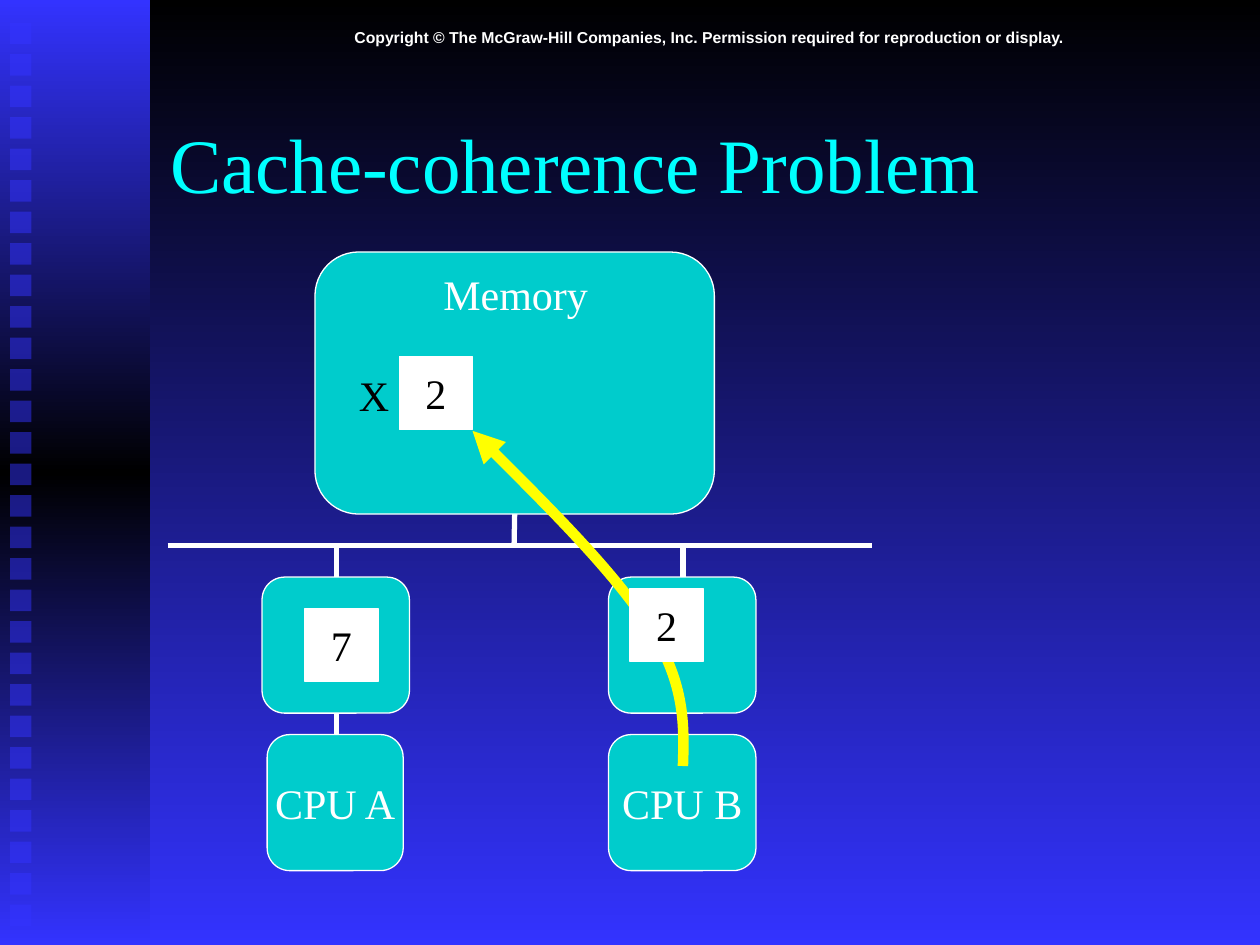
from copy import deepcopy

from lxml import etree
from pptx import Presentation
from pptx import util as u
from pptx.dml.color import RGBColor
from pptx.enum import shapes, text
from pptx.oxml.ns import qn

colour = RGBColor.from_string
CENTER, LEFT = text.PP_ALIGN.CENTER, text.PP_ALIGN.LEFT
RECT, ROUND = shapes.MSO_SHAPE.RECTANGLE, shapes.MSO_SHAPE.ROUNDED_RECTANGLE
SERIF = "Times New Roman"


def write(box, words, ink="FFFFFF", size=24, name=SERIF, bold=False,
          align=CENTER, anchor=text.MSO_ANCHOR.MIDDLE, wrap=False):
    frame = box.text_frame
    frame_format = {
        "word_wrap": wrap, "vertical_anchor": anchor, "auto_size": text.MSO_AUTO_SIZE.NONE,
        "margin_left": u.Inches(0.1), "margin_right": u.Inches(0.1),
        "margin_top": u.Inches(0.05), "margin_bottom": u.Inches(0.05),
    }
    for key, value in frame_format.items():
        setattr(frame, key, value)
    para = frame.paragraphs[0]
    para.alignment = align
    span = para.add_run()
    span.text = words
    for key, value in {"size": u.Pt(size), "name": name, "bold": bold}.items():
        setattr(span.font, key, value)
    span.font.color.rgb = colour(ink)


def add_block(kind, place, fill, line=None):
    block = page.shapes.add_shape(kind, *map(u.Inches, place))
    block.shadow.inherit = False
    block.fill.solid()
    block.fill.fore_color.rgb = colour(fill)
    if line:
        block.line.color.rgb = colour(line)
        block.line.width = u.Pt(0.75)
    else:
        block.line.fill.background()
    return block


deck = Presentation()
deck.slide_width, deck.slide_height = u.Inches(10), u.Inches(7.5)
page = deck.slides.add_slide(deck.slide_layouts[5])

backdrop = page.background.fill
backdrop.gradient()
backdrop.gradient_angle = 270
for stop, position, hue in zip(backdrop.gradient_stops, (0, 1), ("000000", "3333FF")):
    stop.position = position
    stop.color.rgb = colour(hue)

sidebar = add_block(RECT, (0, 0, 1.19, 7.5), "3333FF")
sidebar.fill.gradient()
sidebar.fill.gradient_angle = 270
stop_list = next(sidebar._element.iter(qn("a:gsLst")))
stop_list.append(deepcopy(stop_list[-1]))
for stop, position, hue in zip(sidebar.fill.gradient_stops, (0, 0.5, 1),
                               ("3333FF", "000000", "3333FF")):
    stop.position = position
    stop.color.rgb = colour(hue)

for row in range(29):
    square = add_block(RECT, (0.08, 0.18 + 0.25 * row, 0.17, 0.17), "3333FF")
    hue = next(square._element.spPr.iter(qn("a:srgbClr")))
    etree.SubElement(hue, qn("a:alpha"), val="50000")

notice = page.shapes.add_textbox(*map(u.Inches, (1.25, 0.17, 8.75, 0.25)))
write(notice, "Copyright © The McGraw-Hill Companies, Inc. "
      "Permission required for reproduction or display.",
      size=9, name="Arial", bold=True, wrap=True)

title = page.shapes.title
title_place = {"left": 1.25, "top": 0.67, "width": 8.5, "height": 1.25}
for key, value in title_place.items():
    setattr(title, key, u.Inches(value))
write(title, "Cache-coherence Problem", ink="00FFFF", size=44, align=LEFT, wrap=True)

bus_y = 4.33
wires = []
for ends in ((2.67, bus_y, 2.67, 6.5), (5.42, bus_y, 5.42, 6.42),
             (1.33, bus_y, 6.92, bus_y), (4.08, bus_y, 4.08, 4.08)):
    wire = page.shapes.add_connector(shapes.MSO_CONNECTOR.STRAIGHT, *map(u.Inches, ends))
    wire.line.color.rgb = colour("FFFFFF")
    wire.line.width = u.Pt(3)
    etree.SubElement(wire._element.spPr, qn("a:effectLst"))
    wires.append(wire)

memory = add_block(ROUND, (2.5, 2, 3.17, 2.08), "00CCCC", "FFFFFF")
wires[-1].end_connect(memory, 2)
for cache_left, cpu_left, cpu_width, name in ((2.08, 2.12, 1.08, "CPU A"),
                                              (4.83, 4.83, 1.17, "CPU B")):
    add_block(ROUND, (cache_left, 4.58, 1.17, 1.08), "00CCCC", "FFFFFF")
    cpu = add_block(ROUND, (cpu_left, 5.83, cpu_width, 1.08), "00CCCC", "FFFFFF")
    write(cpu, name)

for place, label, ink in (((3.42, 2.08, 1.35, 0.5), "Memory", "FFFFFF"),
                          ((2.75, 2.88, 0.44, 0.5), "X", "000000")):
    box = page.shapes.add_textbox(*map(u.Inches, place))
    write(box, label, ink=ink, align=LEFT, anchor=text.MSO_ANCHOR.TOP)

for left, top, value in ((3.17, 2.83, "2"), (2.42, 4.83, "7")):
    cell = add_block(RECT, (left, top, 0.58, 0.58), "FFFFFF", "FFFFFF")
    write(cell, value, ink="000000")

curve = ((5.43, 5.76), (5.44, 5.44), (5.17, 5), (4.89, 4.56), (4.32, 3.99), (3.75, 3.42))
builder = page.shapes.build_freeform(u.Inches(5.42), u.Inches(6.08))
builder.add_line_segments([(u.Inches(x), u.Inches(y)) for x, y in curve], close=False)
update = builder.convert_to_shape()
update.shadow.inherit = False
update.fill.background()
update.line.color.rgb = colour("FFFF00")
update.line.width = u.Pt(6)
etree.SubElement(update.line._get_or_add_ln(), qn("a:tailEnd"), type="triangle")
outline = next(update._element.iter(qn("a:path")))
segments = outline.findall(qn("a:lnTo"))
for start in range(0, len(segments), 3):
    bezier = etree.SubElement(outline, qn("a:cubicBezTo"))
    for segment in segments[start:start + 3]:
        bezier.append(segment[0])
        outline.remove(segment)

cached = add_block(RECT, (5, 4.67, 0.58, 0.58), "FFFFFF", "FFFFFF")
write(cached, "2", ink="000000")

deck.save("out.pptx")
